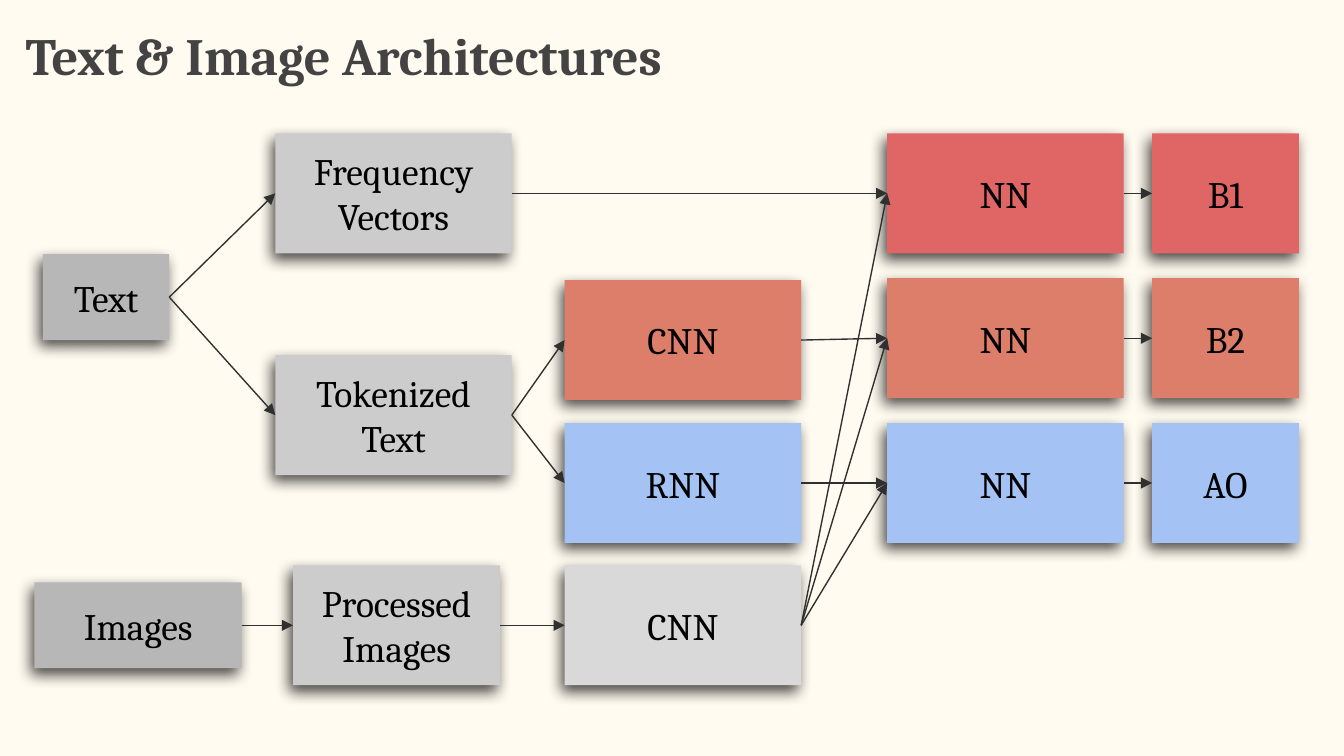
from lxml import etree
from pptx import Presentation
from pptx.dml.color import RGBColor
from pptx.enum.shapes import MSO_CONNECTOR, MSO_SHAPE
from pptx.enum.text import MSO_ANCHOR, PP_ALIGN
from pptx.oxml.ns import qn
from pptx.util import Pt

RECTANGLE = MSO_SHAPE.RECTANGLE
STRAIGHT = MSO_CONNECTOR.STRAIGHT
TOP, MIDDLE = MSO_ANCHOR.TOP, MSO_ANCHOR.MIDDLE
LEFT, CENTER = PP_ALIGN.LEFT, PP_ALIGN.CENTER
LEFT_SITE, RIGHT_SITE = 1, 3  # connection sites of a rectangle

INPUT, PREPARED, IMAGE_NET = "B7B7B7", "CCCCCC", "D9D9D9"
RED, ORANGE, BLUE = "E06666", "DD7E6B", "A4C2F4"

# Centre lines of the rows
ROW_1, ROW_2, ROW_3 = (103.6 + 77.6 * row for row in range(3))
IMAGE_ROW = 335


def color(hex_value):
    return RGBColor.from_string(hex_value)


def write(frame, text, size=20, ink="000000", bold=False, align=CENTER, anchor=MIDDLE):
    """Fill a text frame, one paragraph for each line of text."""
    frame.text = text
    frame.word_wrap = True
    frame.vertical_anchor = anchor
    frame.margin_left = frame.margin_right = Pt(7.2)
    frame.margin_top = frame.margin_bottom = Pt(7.2)
    for paragraph in frame.paragraphs:
        paragraph.alignment = align
        font = paragraph.runs[0].font
        font.name = "Cambria"
        font.size = Pt(size)
        font.bold = bold
        font.color.rgb = color(ink)


class Diagram:
    line_color = "303030"
    line_width = 0.75
    box_height = 64.3

    def __init__(self, slide):
        self.slide = slide

    def background(self, fill):
        self.slide.background.fill.solid()
        self.slide.background.fill.fore_color.rgb = color(fill)

    def title(self, text, left, top, width, height):
        title = self.slide.shapes.title
        title.left, title.top = Pt(left), Pt(top)
        title.width, title.height = Pt(width), Pt(height)
        write(title.text_frame, text, size=28, ink="434343", bold=True,
              align=LEFT, anchor=TOP)

    def box(self, text, left, middle, width, fill, height=box_height):
        box = self.slide.shapes.add_shape(
            RECTANGLE, Pt(left), Pt(middle - height / 2), Pt(width), Pt(height))
        box.fill.solid()
        box.fill.fore_color.rgb = color(fill)
        box.line.fill.background()
        self.cast_shadow(box)
        write(box.text_frame, text)
        return box

    def cast_shadow(self, box):
        box.shadow.inherit = False
        effects = box._element.spPr.find(qn("a:effectLst"))
        shadow = etree.SubElement(
            effects, qn("a:outerShdw"), blurRad=str(Pt(7.9)), dist=str(Pt(3.8)),
            dir=str(120 * 60000), algn="bl", rotWithShape="0")
        black = etree.SubElement(shadow, qn("a:srgbClr"), val="000000")
        etree.SubElement(black, qn("a:alpha"), val="71000")

    def arrow(self, source, target):
        """Join the right side of source to the left side of target."""
        arrow = self.slide.shapes.add_connector(STRAIGHT, 0, 0, 0, 0)
        arrow.begin_connect(source, RIGHT_SITE)
        arrow.end_connect(target, LEFT_SITE)
        arrow.line.color.rgb = color(self.line_color)
        arrow.line.width = Pt(self.line_width)
        properties = arrow._element.spPr
        etree.SubElement(properties.find(qn("a:ln")), qn("a:tailEnd"), type="triangle")
        etree.SubElement(properties, qn("a:effectLst"))


def main():
    deck = Presentation()
    deck.slide_width, deck.slide_height = Pt(720), Pt(405)
    diagram = Diagram(deck.slides.add_slide(deck.slide_layouts[5]))
    diagram.background("FFFBF0")
    diagram.title("Text & Image Architectures", 6.5, 5, 671, 45.4)

    text = diagram.box("Text", 23, 159.2, 67.7, INPUT, height=46)
    images = diagram.box("Images", 18.5, IMAGE_ROW, 111, INPUT, height=46)
    tokenized = diagram.box("Tokenized\nText", 147.5, 222.4, 126.7, PREPARED)
    processed = diagram.box("Processed\nImages", 157, IMAGE_ROW, 111, PREPARED)
    frequency = diagram.box("Frequency\nVectors", 147.5, ROW_1, 126.7, PREPARED)

    text_cnn = diagram.box("CNN", 302.5, 182.2, 126.7, ORANGE)
    image_cnn = diagram.box("CNN", 302.5, IMAGE_ROW, 126.7, IMAGE_NET)
    rnn = diagram.box("RNN", 302.5, ROW_3, 126.7, BLUE)

    links = [
        (text, frequency), (text, tokenized),
        (tokenized, text_cnn), (tokenized, rnn),
        (images, processed), (processed, image_cnn),
    ]
    branches = [
        (frequency, "B1", ROW_1, RED),
        (text_cnn, "B2", ROW_2, ORANGE),
        (rnn, "AO", ROW_3, BLUE),
    ]
    for text_feature, label, row, fill in branches:
        network = diagram.box("NN", 475.3, row, 126.7, fill)
        output = diagram.box(label, 617.2, row, 78.6, fill)
        links += [(text_feature, network), (image_cnn, network), (network, output)]

    for source, target in links:
        diagram.arrow(source, target)

    deck.save("out.pptx")


if __name__ == "__main__":
    main()
